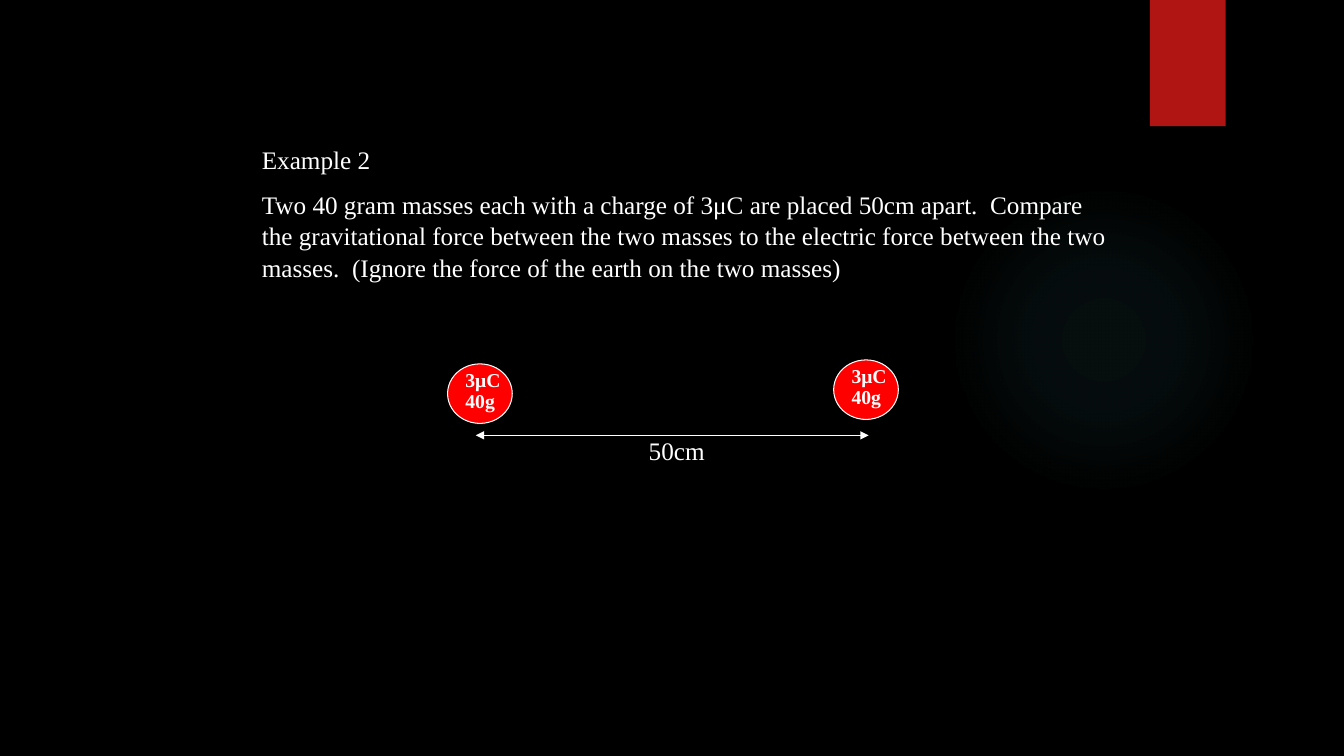
from lxml import etree
from pptx import Presentation
from pptx.dml.color import RGBColor
from pptx.enum.shapes import MSO_CONNECTOR, MSO_SHAPE
from pptx.enum.text import MSO_ANCHOR, PP_ALIGN
from pptx.oxml import parse_xml
from pptx.oxml.ns import nsdecls, qn
from pptx.util import Cm, Pt

OVAL = MSO_SHAPE.OVAL
RECTANGLE = MSO_SHAPE.RECTANGLE
STRAIGHT = MSO_CONNECTOR.STRAIGHT
LEFT = PP_ALIGN.LEFT
TOP = MSO_ANCHOR.TOP

COLOURS = {
    "background": "000000",
    "text": "FFFFFF",
    "ribbon": "B01513",
    "charge": "FF0000",
    "glow": "50B9C1",
}
GLOW_STOPS = [(0, 7), (36, 6), (69, 0)]
FONT = "Times New Roman"
PROBLEM_FORMAT = {
    "font": {"name": FONT, "size": Pt(18), "bold": False},
    "paragraph": {"alignment": LEFT, "space_before": Pt(9), "line_spacing": 1.05},
}
DISTANCE_FORMAT = {
    "font": PROBLEM_FORMAT["font"],
    "paragraph": {"alignment": LEFT, "space_before": Pt(9)},
}
CHARGE_FORMAT = {
    "font": {"name": FONT, "size": Pt(14), "bold": True},
    "paragraph": {"alignment": LEFT, "space_before": Pt(7), "line_spacing": 0.5},
}
PROBLEM = [
    "Example 2",
    "Two 40 gram masses each with a charge of 3μC are placed 50cm apart.  "
    "Compare the gravitational force between the two masses to the electric "
    "force between the two masses.  (Ignore the force of the earth on the two masses)",
]
CHARGE_POSITIONS = [(11.28, 9.17), (21.01, 9.07)]


def colour(name):
    return RGBColor.from_string(COLOURS[name])


def apply_format(target, values):
    for attribute, value in values.items():
        setattr(target, attribute, value)


def add_plain_shape(shapes, kind, box, fill, outline=None):
    shape = shapes.add_shape(kind, *map(Cm, box))
    shape.shadow.inherit = False
    shape.fill.solid()
    shape.fill.fore_color.rgb = colour(fill)
    if outline:
        shape.line.color.rgb = colour(outline)
        shape.line.width = Pt(0.75)
    else:
        shape.line.fill.background()
    return shape


def add_glow(shapes, box):
    shape = add_plain_shape(shapes, OVAL, box, "glow")
    stops = "".join(
        f'<a:gs pos="{position * 1000}"><a:srgbClr val="{COLOURS["glow"]}">'
        f'<a:alpha val="{alpha * 1000}"/></a:srgbClr></a:gs>'
        for position, alpha in GLOW_STOPS
    )
    gradient = parse_xml(
        f'<a:gradFill {nsdecls("a")} rotWithShape="1"><a:gsLst>{stops}</a:gsLst>'
        '<a:path path="circle"><a:fillToRect l="50000" t="50000" r="50000" b="50000"/>'
        "</a:path></a:gradFill>"
    )
    properties = shape.element.spPr
    properties.replace(properties.find(qn("a:solidFill")), gradient)


def add_text(shapes, box, lines, style):
    frame = shapes.add_textbox(*map(Cm, box)).text_frame
    frame.word_wrap = True
    frame.vertical_anchor = TOP
    frame.text = "\n".join(lines)
    for paragraph in frame.paragraphs:
        apply_format(paragraph, style["paragraph"])
        font = paragraph.runs[0].font
        apply_format(font, style["font"])
        font.color.rgb = colour("text")


def add_charge(shapes, left, top):
    add_plain_shape(shapes, OVAL, (left, top, 1.63, 1.5), "charge", "text")
    add_text(shapes, (left + 0.2, top + 0.23, 3.12, 1.14), ["3μC", "40g"], CHARGE_FORMAT)


def add_double_arrow(shapes, left, right, height):
    arrow = shapes.add_connector(STRAIGHT, Cm(left), Cm(height), Cm(right), Cm(height))
    arrow.line.color.rgb = colour("text")
    arrow.line.width = Pt(0.75)
    line = arrow.line._get_or_add_ln()
    for end in ("a:headEnd", "a:tailEnd"):
        etree.SubElement(line, qn(end), type="triangle")
    etree.SubElement(arrow.element.spPr, qn("a:effectLst"))


def main():
    presentation = Presentation()
    presentation.slide_width = Cm(33.87)
    presentation.slide_height = Cm(19.05)
    slide = presentation.slides.add_slide(presentation.slide_layouts[6])
    slide.background.fill.solid()
    slide.background.fill.fore_color.rgb = colour("background")

    add_glow(slide.shapes, (23.9, 4.65, 7.82, 7.82))
    add_plain_shape(slide.shapes, RECTANGLE, (28.98, 0, 1.91, 3.18), "ribbon")
    add_text(slide.shapes, (6.35, 3.48, 22.1, 3.71), PROBLEM, PROBLEM_FORMAT)

    diagram = slide.shapes.add_group_shape().shapes
    for left, top in CHARGE_POSITIONS:
        add_charge(diagram, left, top)
    add_double_arrow(diagram, 11.99, 21.89, 10.97)
    add_text(diagram, (16.1, 10.85, 2.62, 1.02), ["50cm"], DISTANCE_FORMAT)
    presentation.save("out.pptx")


if __name__ == "__main__":
    main()
